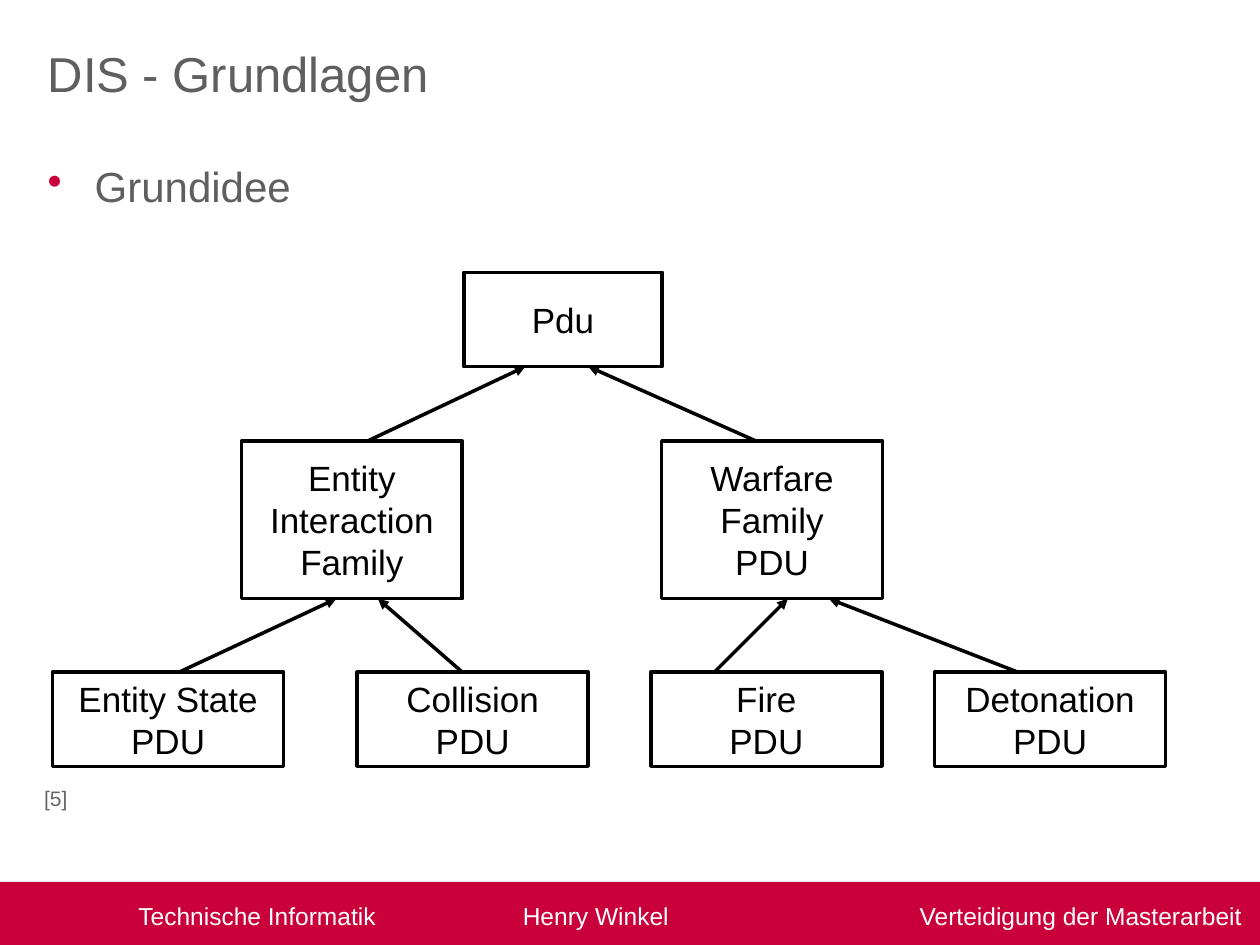
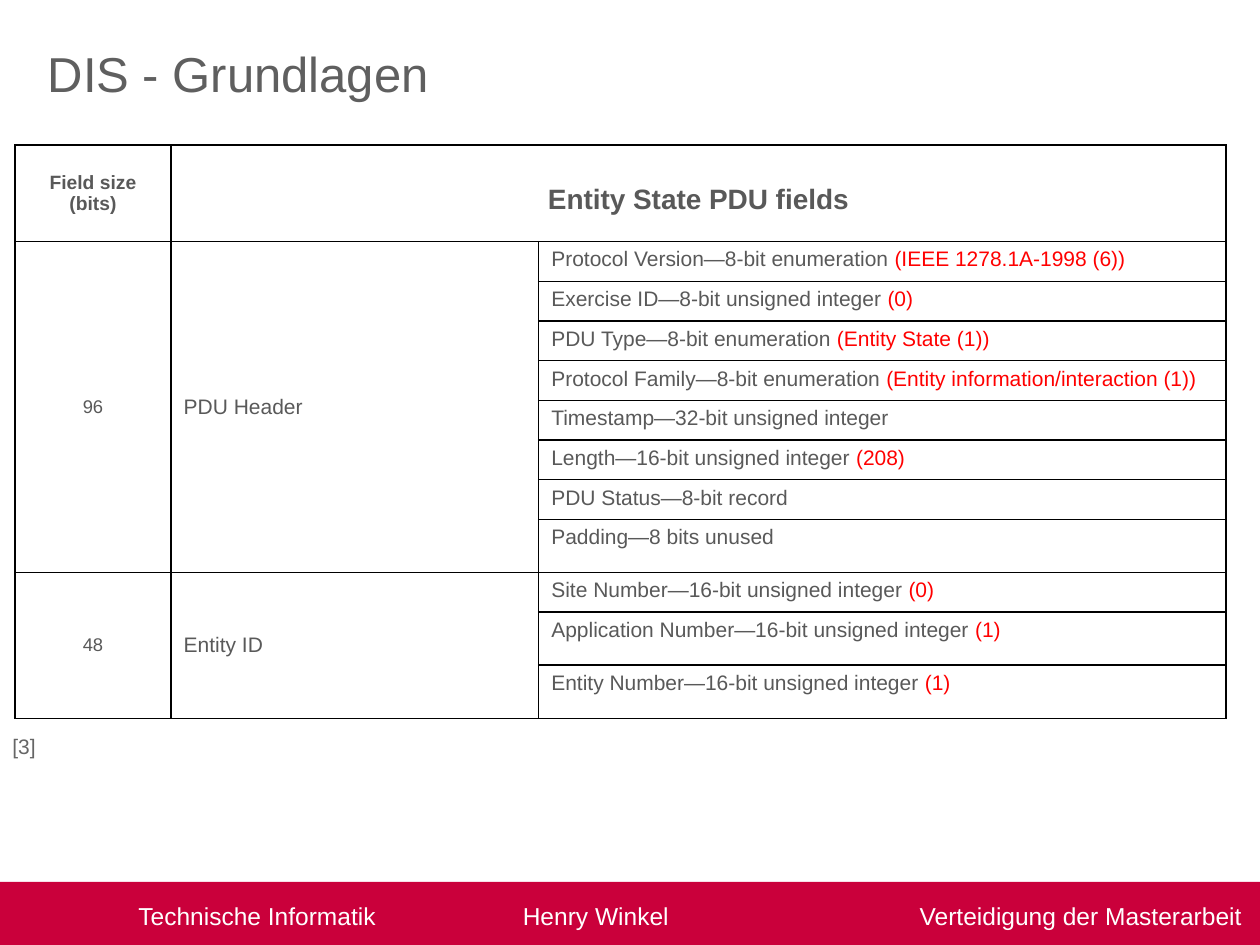
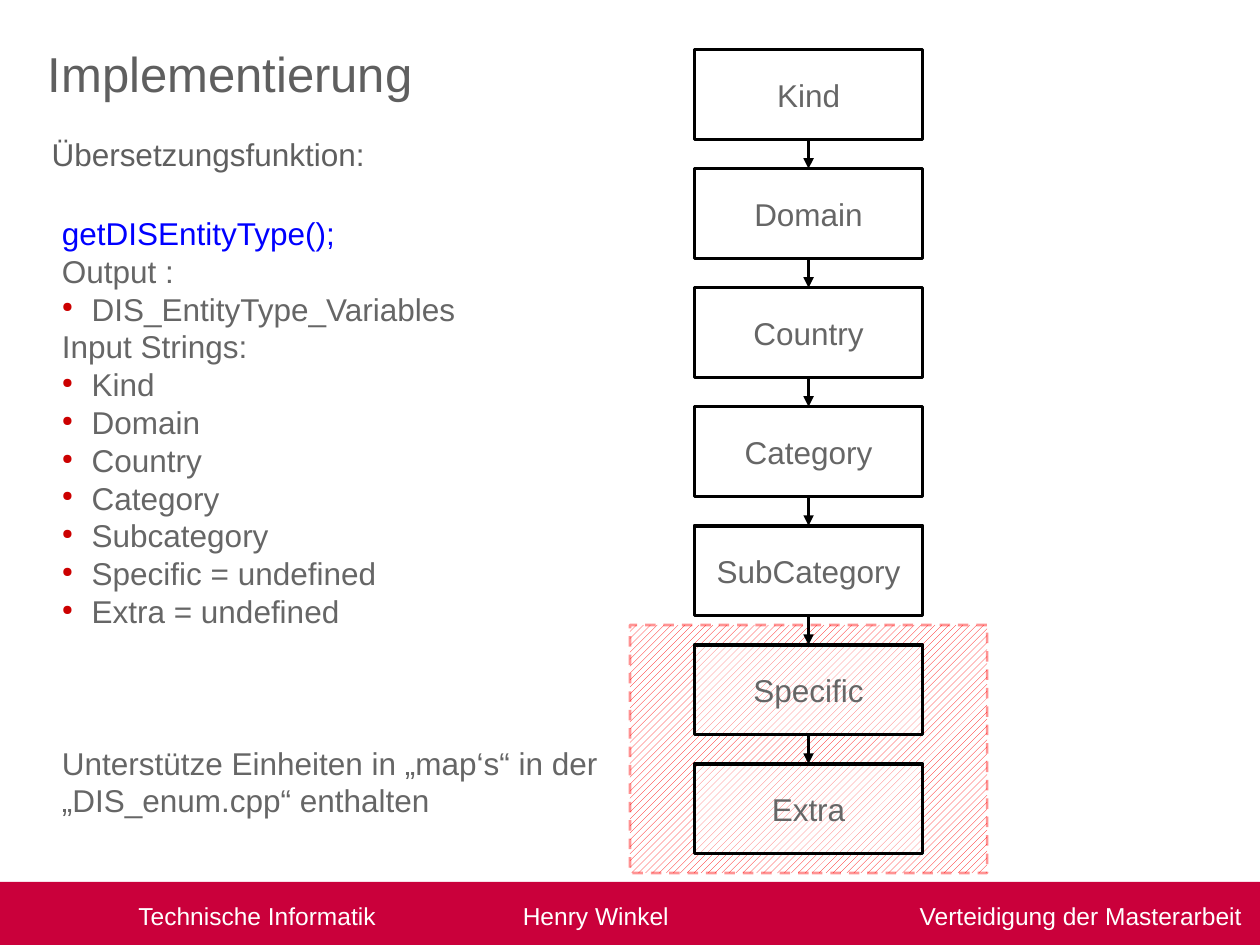
from dataclasses import dataclass
from itertools import pairwise

from lxml.etree import SubElement
from pptx import Presentation
from pptx.dml.color import RGBColor
from pptx.enum.dml import MSO_LINE, MSO_PATTERN
from pptx.enum.shapes import MSO_CONNECTOR, MSO_SHAPE
from pptx.enum.text import MSO_ANCHOR as ANCHOR, MSO_AUTO_SIZE, PP_ALIGN as ALIGN
from pptx.oxml.ns import qn
from pptx.util import Cm, Pt


@dataclass(frozen=True)
class Theme:
    """Colours, font and type sizes of the deck."""
    font: str = "Arial"
    brand: str = "CA003B"
    heading: str = "5F5F5F"
    body: str = "666666"
    cell: str = "595959"
    bullet: str = "CC0000"
    code: str = "0000FF"
    value: str = "FF0000"
    ink: str = "000000"
    paper: str = "FFFFFF"
    title_size: float = 28
    lead_size: float = 24
    node_size: float = 20
    header_size: float = 16
    text_size: float = 18
    footer_size: float = 14
    small_size: float = 12
    label_size: float = 11
    bits_size: float = 10.5


@dataclass(frozen=True)
class Box:
    """A rectangle in centimetres."""
    left: float
    top: float
    width: float
    height: float

    def inner(self, left, top, width, height):
        """Return a box placed relative to this one."""
        return Box(self.left + left, self.top + top, width, height)

    def emu(self):
        """Return the four lengths for python-pptx."""
        return Cm(self.left), Cm(self.top), Cm(self.width), Cm(self.height)


THEME = Theme()
SLIDE = Box(0, 0, 25.4, 19.05)

FOOTER = ["Technische Informatik", "Henry Winkel", "Verteidigung der Masterarbeit"]
FOOTER_TABS = [2.54, 10.29, 18.29]

PDU_ROOT = ("Pdu", 8.29)
PDU_FAMILIES = [("Entity\nInteraction\nFamily", 3.81), ("Warfare\nFamily\nPDU", 12.28)]
PDU_LEAVES = [("Entity State\nPDU", 0), ("Collision\nPDU", 6.14),
              ("Fire\nPDU", 12.06), ("Detonation\nPDU", 17.78)]
FAMILY_ARROWS = [(6.35, 9.53), (14.18, 10.8)]
LEAF_ARROWS = [(2.55, 5.72), (8.26, 6.56), (13.34, 14.82), (19.46, 15.65)]

FIELD_GROUPS = [
    ("96", "PDU Header", [
        ("Protocol Version—8-bit enumeration ", "(IEEE 1278.1A-1998 (6))"),
        ("Exercise ID—8-bit unsigned integer ", "(0)"),
        ("PDU Type—8-bit enumeration ", "(Entity State (1))"),
        ("Protocol Family—8-bit enumeration ", "(Entity information/interaction (1))"),
        ("Timestamp—32-bit unsigned integer", ""),
        ("Length—16-bit unsigned integer ", "(208)"),
        ("PDU Status—8-bit record", ""),
        ("Padding—8 bits unused", "")]),
    ("48", "Entity ID", [
        ("Site Number—16-bit unsigned integer ", "(0)"),
        ("Application Number—16-bit unsigned integer ", "(1)"),
        ("Entity Number—16-bit unsigned integer ", "(1)")]),
]
FIELD_COLUMNS = [3.15, 7.41, 13.85]
HEADER_ROW, FIELD_ROW, TALL_ROW = 1.95, 0.8, 1.07
TALL_ROWS = {8, 10, 11}

LEVELS = ["Kind", "Domain", "Country", "Category", "SubCategory", "Specific", "Extra"]
UNDEFINED_LEVELS = {"Specific", "Extra"}
OUTPUTS = ["DIS_EntityType_Variables"]
INPUTS = ["Kind", "Domain", "Country", "Category", "Subcategory",
          "Specific = undefined", "Extra = undefined"]


def rgb(color):
    """Turn a hex string into a colour."""
    return RGBColor.from_string(color)


def write(frame, lines, *, size, color, bold=False, align=ALIGN.LEFT,
          anchor=ANCHOR.TOP, wrap=True):
    """Fill a text frame with lines, each a string or a list of (text, colour) runs."""
    frame.word_wrap = wrap
    frame.vertical_anchor = anchor
    for index, line in enumerate(lines):
        paragraph = frame.paragraphs[0] if index == 0 else frame.add_paragraph()
        paragraph.alignment = align
        for words, run_color in [(line, color)] if isinstance(line, str) else line:
            run = paragraph.add_run()
            run.text = words
            run.font.name = THEME.font
            run.font.size = Pt(size)
            run.font.bold = bold
            run.font.color.rgb = rgb(run_color)
    return frame.paragraphs


def add_text(slide, box, lines, **style):
    """Add a text box and return its paragraphs."""
    return write(slide.shapes.add_textbox(*box.emu()).text_frame, lines, **style)


def add_bullet(paragraph, char, color, indent, percent=100):
    """Give a paragraph a hanging coloured bullet."""
    props = paragraph._p.get_or_add_pPr()
    props.set("marL", str(Cm(indent)))
    props.set("indent", str(-Cm(indent)))
    SubElement(SubElement(props, qn("a:buClr")), qn("a:srgbClr"), val=color)
    SubElement(props, qn("a:buSzPct"), val=str(percent * 1000))
    SubElement(props, qn("a:buChar"), char=char)


def set_alpha(element, percent):
    """Set the opacity of the first colour inside an element."""
    color = next(element.iter(qn("a:srgbClr")))
    SubElement(color, qn("a:alpha"), val=str(percent * 1000))


def add_rect(slide, box, fill=None, line=None, width=2):
    """Add a flat rectangle."""
    rect = slide.shapes.add_shape(MSO_SHAPE.RECTANGLE, *box.emu())
    rect.shadow.inherit = False
    if fill:
        rect.fill.solid()
        rect.fill.fore_color.rgb = rgb(fill)
    if line:
        rect.line.color.rgb = rgb(line)
        rect.line.width = Pt(width)
    else:
        rect.line.fill.background()
    return rect


def add_node(slide, box, label, size, color):
    """Add an outlined box with a centred label."""
    node = add_rect(slide, box, THEME.paper, THEME.ink)
    write(node.text_frame, label.split("\n"), size=size, color=color,
          align=ALIGN.CENTER, anchor=ANCHOR.MIDDLE, wrap=False)
    return node


def add_arrow(slide, start=(0, 0), end=(0, 0)):
    """Add a straight arrow between two points in centimetres."""
    points = [Cm(value) for value in (*start, *end)]
    arrow = slide.shapes.add_connector(MSO_CONNECTOR.STRAIGHT, *points)
    arrow.line.color.rgb = rgb(THEME.ink)
    arrow.line.width = Pt(2)
    SubElement(arrow.line._get_or_add_ln(), qn("a:tailEnd"), type="triangle")
    SubElement(arrow._element.spPr, qn("a:effectLst"))
    return arrow


def add_title_slide(deck, title):
    """Add a title-only slide with its title formatted."""
    slide = deck.slides.add_slide(deck.slide_layouts[5])
    heading = slide.shapes.title
    heading.left, heading.top, heading.width, heading.height = Box(0.71, 0.74, 20, 2).emu()
    heading.text_frame.auto_size = MSO_AUTO_SIZE.NONE
    write(heading.text_frame, [title], size=THEME.title_size, color=THEME.heading)
    return slide


def move_footer_to_layout(slide, box):
    """Build the footer band and hand it to the slide's layout."""
    band = add_rect(slide, box, THEME.brand)
    line = "".join(f"\t{part}" for part in FOOTER)
    footer, = write(band.text_frame, [line], size=THEME.footer_size,
                    color=THEME.paper, anchor=ANCHOR.MIDDLE)
    tabs = SubElement(footer._p.get_or_add_pPr(), qn("a:tabLst"))
    for stop in FOOTER_TABS:
        SubElement(tabs, qn("a:tab"), pos=str(Cm(stop)), algn="l")
    band._element.nvSpPr.cNvPr.id = 20
    slide.slide_layout.shapes.element.append(band._element)


def add_source(slide, box, mark):
    """Add a literature mark."""
    add_text(slide, box, [mark], size=THEME.small_size, color=THEME.body, wrap=False)


def draw_pdu_tree(slide, box):
    """Draw the PDU class tree with arrows to the parents."""
    tiers = [([PDU_ROOT], 0, 4, 1.9),
             (PDU_FAMILIES, 3.4, 4.45, 3.18),
             (PDU_LEAVES, 8.06, 4.66, 1.9)]
    for nodes, top, width, height in tiers:
        for label, left in nodes:
            add_node(slide, box.inner(left, top, width, height), label,
                     THEME.node_size, THEME.ink)
    for (parents, children), arrows in zip(pairwise(tiers), (FAMILY_ARROWS, LEAF_ARROWS)):
        parent_bottom = box.top + parents[1] + parents[3]
        child_top = box.top + children[1]
        for child_x, parent_x in arrows:
            add_arrow(slide, (box.left + child_x, child_top),
                      (box.left + parent_x, parent_bottom))


def format_cell(cell):
    """Give a cell a plain fill and black borders."""
    props = cell._tc.get_or_add_tcPr()
    for side in ("a:lnL", "a:lnR", "a:lnT", "a:lnB"):
        edge = SubElement(props, qn(side), w=str(Pt(1)))
        SubElement(SubElement(edge, qn("a:solidFill")), qn("a:srgbClr"), val=THEME.ink)
    cell.fill.solid()
    cell.fill.fore_color.rgb = rgb(THEME.paper)


def write_cell(cell, line, size, **style):
    """Write one line into a cell."""
    anchor = style.pop("anchor", ANCHOR.MIDDLE)
    write(cell.text_frame, [line], size=size, color=THEME.cell, **style)
    cell.vertical_anchor = anchor


def draw_field_table(slide, box):
    """Draw the table of Entity State PDU fields."""
    row_count = 1 + sum(len(fields) for _, _, fields in FIELD_GROUPS)
    table = slide.shapes.add_table(row_count, len(FIELD_COLUMNS), *box.emu()).table
    table.first_row = table.horz_banding = False
    for column, width in zip(table.columns, FIELD_COLUMNS):
        column.width = Cm(width)
    for index, row in enumerate(table.rows):
        height = TALL_ROW if index in TALL_ROWS else FIELD_ROW
        row.height = Cm(height if index else HEADER_ROW)
    for cell in table.iter_cells():
        format_cell(cell)

    table.cell(0, 1).merge(table.cell(0, 2))
    write_cell(table.cell(0, 0), "Field size (bits)", THEME.label_size,
               bold=True, align=ALIGN.CENTER)
    write_cell(table.cell(0, 1), "Entity State PDU fields", THEME.header_size,
               bold=True, align=ALIGN.CENTER)
    table.cell(0, 1).margin_top = Cm(0.4)

    first = 1
    for bits, group, fields in FIELD_GROUPS:
        last = first + len(fields) - 1
        for column in (0, 1):
            table.cell(first, column).merge(table.cell(last, column))
        write_cell(table.cell(first, 0), bits, THEME.bits_size, align=ALIGN.CENTER)
        write_cell(table.cell(first, 1), group, THEME.small_size)
        for row, (field, value) in enumerate(fields, first):
            runs = [(field, THEME.cell)] + ([(value, THEME.value)] if value else [])
            write_cell(table.cell(row, 2), runs, THEME.small_size, anchor=ANCHOR.TOP)
        first = last + 1


def draw_undefined_area(slide, box):
    """Draw the hatched area behind the undefined levels."""
    area = add_rect(slide, box, line=THEME.value, width=1.5)
    area.fill.patterned()
    area.fill.pattern = MSO_PATTERN.WIDE_UPWARD_DIAGONAL
    area.fill.fore_color.rgb = rgb(THEME.value)
    area.fill.back_color.rgb = rgb(THEME.paper)
    area.line.dash_style = MSO_LINE.DASH
    set_alpha(area.line._get_or_add_ln(), 42)


def draw_level_chain(slide, box):
    """Draw the entity type levels as a chain of boxes."""
    height = 1.81
    pitch = (box.height - height) / (len(LEVELS) - 1)
    nodes = []
    for index, level in enumerate(LEVELS):
        node = add_node(slide, box.inner(0, index * pitch, box.width, height), level,
                        THEME.text_size, THEME.body)
        if level in UNDEFINED_LEVELS:
            set_alpha(node._element.spPr, 40)
        nodes.append(node)
    for upper, lower in pairwise(nodes):
        arrow = add_arrow(slide)
        arrow.begin_connect(upper, 2)
        arrow.end_connect(lower, 0)


def draw_function_notes(slide, box):
    """Describe the translation function, its output and its inputs."""
    lines = [[("getDISEntityType();", THEME.code)], "Output :", *OUTPUTS,
             "Input Strings:", *INPUTS,
             "Unterstütze Einheiten in „map‘s“ in der „DIS_enum.cpp“ enthalten"]
    paragraphs = add_text(slide, box, lines, size=THEME.text_size, color=THEME.body)
    for line, paragraph in zip(lines, paragraphs):
        if line in OUTPUTS + INPUTS:
            add_bullet(paragraph, "●", THEME.bullet, 0.6, 45)
    paragraphs[-1].space_before = Pt(65)


def build_tree_slide(deck):
    """Build the slide on the basic idea of DIS."""
    slide = add_title_slide(deck, "DIS - Grundlagen")
    idea, = add_text(slide, Box(0.71, 3.12, 24, 14.4), ["Grundidee"],
                     size=THEME.lead_size, color=THEME.heading)
    add_bullet(idea, "•", THEME.brand, 0.95)
    draw_pdu_tree(slide, Box(1.06, 5.49, 22.44, 9.96))
    add_source(slide, Box(0.64, 15.72, 0.97, 0.76), "[5]")
    return slide


def build_table_slide(deck):
    """Build the slide with the PDU fields."""
    slide = add_title_slide(deck, "DIS - Grundlagen")
    add_source(slide, Box(0, 14.66, 0.97, 0.76), "[3]")
    draw_field_table(slide, Box(0.3, 2.92, 24.41, 11.53))


def build_function_slide(deck):
    """Build the slide on the translation function."""
    slide = add_title_slide(deck, "Implementierung")
    draw_undefined_area(slide, Box(12.7, 12.6, 7.2, 5))
    add_text(slide, Box(0.79, 2.59, 9, 1.07), ["Übersetzungsfunktion:"],
             size=THEME.text_size, color=THEME.heading)
    draw_function_notes(slide, Box(1, 4.19, 12.2, 8.8))
    draw_level_chain(slide, Box(14, 1, 4.6, 16.21))


def main():
    """Build and save the deck."""
    deck = Presentation()
    deck.slide_width, deck.slide_height = Cm(SLIDE.width), Cm(SLIDE.height)
    tree_slide = build_tree_slide(deck)
    move_footer_to_layout(tree_slide, SLIDE.inner(0, 17.78, SLIDE.width, 1.37))
    build_table_slide(deck)
    build_function_slide(deck)
    deck.save("out.pptx")


if __name__ == "__main__":
    main()
